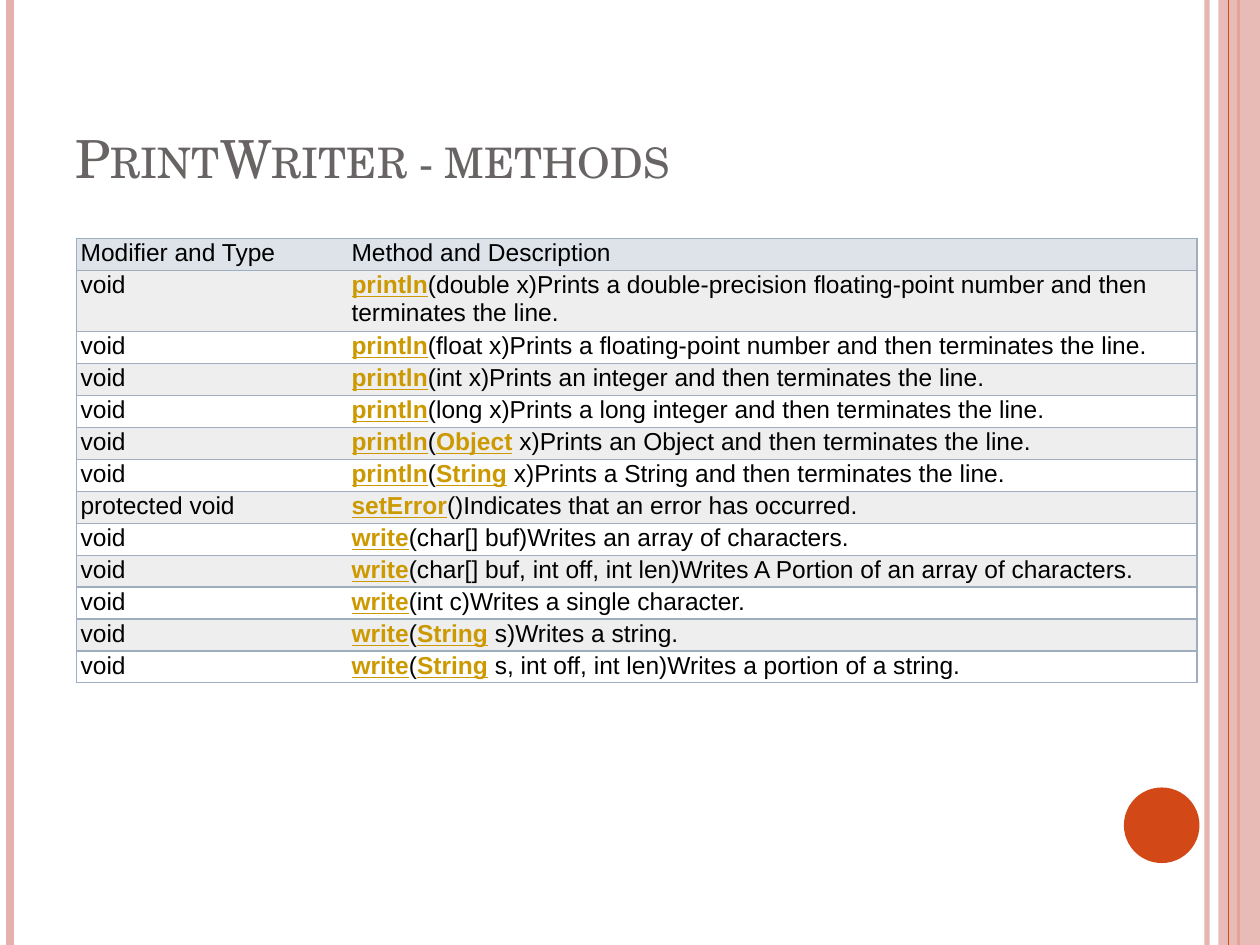
from dataclasses import dataclass

from lxml import etree
from pptx import Presentation
from pptx.dml.color import RGBColor
from pptx.enum import shapes, text
from pptx.oxml import ns
from pptx.util import Inches, Pt

PINK = RGBColor(0xE6, 0xB1, 0xAC)
ORANGE = RGBColor(0xD3, 0x48, 0x17)
GREY = RGBColor(0x69, 0x64, 0x64)
BLACK = RGBColor(0, 0, 0)
WHITE = RGBColor(0xFF, 0xFF, 0xFF)
LINK = RGBColor(0xCC, 0x99, 0x00)
HEADER_FILL = RGBColor(0xDE, 0xE3, 0xE9)
BAND_FILL = RGBColor(0xEE, 0xEE, 0xEF)
BORDER = RGBColor(0x9E, 0xAD, 0xC0)


@dataclass
class Stripe:
    x: float
    color: RGBColor
    width: float
    opacity: int = 100


@dataclass
class Method:
    modifier: str
    description: str  # linked and plain parts alternate, split by "|"


BACK_STRIPES = [
    Stripe(9.58, PINK, 3, 93),
    Stripe(0.08, PINK, 4.5),
    Stripe(9.83, ORANGE, 1.5),
]
FRONT_STRIPE = Stripe(9.75, ORANGE, 0.75)

METHODS = [
    Method("void", "println|(double x)Prints a double-precision floating-point number and then terminates the line."),
    Method("void", "println|(float x)Prints a floating-point number and then terminates the line."),
    Method("void", "println|(int x)Prints an integer and then terminates the line."),
    Method("void", "println|(long x)Prints a long integer and then terminates the line."),
    Method("void", "println|(|Object| x)Prints an Object and then terminates the line."),
    Method("void", "println|(|String| x)Prints a String and then terminates the line."),
    Method("protected void", "setError|()Indicates that an error has occurred."),
    Method("void", "write|(char[] buf)Writes an array of characters."),
    Method("void", "write|(char[] buf, int off, int len)Writes A Portion of an array of characters."),
    Method("void", "write|(int c)Writes a single character."),
    Method("void", "write|(|String| s)Writes a string."),
    Method("void", "write|(|String| s, int off, int len)Writes a portion of a string."),
]


def set_opacity(element, percent: int) -> None:
    color = element.find(".//" + ns.qn("a:srgbClr"))
    etree.SubElement(color, ns.qn("a:alpha"), val=str(percent * 1000))


def draw_stripe(slide, stripe: Stripe) -> None:
    x = Inches(stripe.x)
    s = slide.shapes.add_connector(shapes.MSO_CONNECTOR.STRAIGHT, x, 0, x, Inches(7.5))
    s.line.color.rgb = stripe.color
    s.line.width = Pt(stripe.width)
    if stripe.opacity < 100:
        set_opacity(s.line._ln, stripe.opacity)
    etree.SubElement(s._element.spPr, ns.qn("a:effectLst"))


def draw_shape(slide, kind, left: float, top: float, width: float, height: float, color: RGBColor):
    s = slide.shapes.add_shape(kind, Inches(left), Inches(top), Inches(width), Inches(height))
    s.shadow.inherit = False
    s.fill.solid()
    s.fill.fore_color.rgb = color
    s.line.fill.background()
    return s


def draw_title(slide, title: str) -> None:
    s = slide.shapes.add_textbox(Inches(0.5), Inches(0.3), Inches(8.17), Inches(1.25))
    tf = s.text_frame
    tf.word_wrap = True
    tf.vertical_anchor = text.MSO_ANCHOR.BOTTOM
    tf.text = title
    r = tf.paragraphs[0].runs[0]
    r.font.name = "TeX Gyre Schola"
    r.font.size = Pt(30)
    r.font.color.rgb = GREY
    r._r.get_or_add_rPr().set("cap", "small")


def set_borders(cell, visible: str) -> None:
    tcPr = cell._tc.get_or_add_tcPr()
    for side in "LRTB":
        ln = etree.SubElement(tcPr, ns.qn("a:ln" + side), w=str(Pt(0.75)))
        if side in visible:
            fill = etree.SubElement(ln, ns.qn("a:solidFill"))
            etree.SubElement(fill, ns.qn("a:srgbClr"), val=str(BORDER))
        else:
            etree.SubElement(ln, ns.qn("a:noFill"))


def fill_cell(cell, parts: list[str], fill: RGBColor, borders: str, first_linked: bool = False) -> None:
    cell.margin_left = Inches(0.03)
    cell.margin_right = cell.margin_top = cell.margin_bottom = Inches(0.01)
    set_borders(cell, borders)
    cell.fill.solid()
    cell.fill.fore_color.rgb = fill
    p = cell.text_frame.paragraphs[0]
    for i, part in enumerate(parts):
        linked = first_linked and i % 2 == 0
        r = p.add_run()
        r.text = part
        r.font.name = "Arial"
        r.font.size = Pt(14)
        r.font.bold = r.font.underline = linked
        r.font.color.rgb = LINK if linked else BLACK


def draw_table(slide, methods: list[Method]) -> None:
    s = slide.shapes.add_table(len(methods) + 1, 2, Inches(0.61), Inches(1.89), Inches(8.89), Inches(3.58))
    table = s.table
    table.first_row = table.horz_banding = False
    for column, width in zip(table.columns, (2.15, 6.74)):
        column.width = Inches(width)
    # Rows grow to fit their text
    for row in table.rows:
        row.height = Inches(0.13)
    s.height = Inches(3.58)

    fill_cell(table.cell(0, 0), ["Modifier and Type"], HEADER_FILL, "LTB")
    fill_cell(table.cell(0, 1), ["Method and Description"], HEADER_FILL, "RTB")
    for i, method in enumerate(methods, start=1):
        fill = BAND_FILL if i % 2 else WHITE
        fill_cell(table.cell(i, 0), [method.modifier], fill, "LTB")
        fill_cell(table.cell(i, 1), method.description.split("|"), fill, "RTB", first_linked=True)


def main() -> None:
    prs = Presentation()
    prs.slide_width, prs.slide_height = Inches(10), Inches(7.5)
    slide = prs.slides.add_slide(prs.slide_layouts[6])

    # Side decoration
    for stripe in BACK_STRIPES:
        draw_stripe(slide, stripe)
    band = draw_shape(slide, shapes.MSO_SHAPE.RECTANGLE, 9.67, 0, 0.33, 7.5, PINK)
    set_opacity(band._element.spPr, 87)
    draw_stripe(slide, FRONT_STRIPE)
    draw_shape(slide, shapes.MSO_SHAPE.OVAL, 8.92, 6.25, 0.6, 0.6, ORANGE)

    # Content
    draw_title(slide, "PrintWriter - methods")
    draw_table(slide, METHODS)
    prs.save("out.pptx")


if __name__ == "__main__":
    main()
